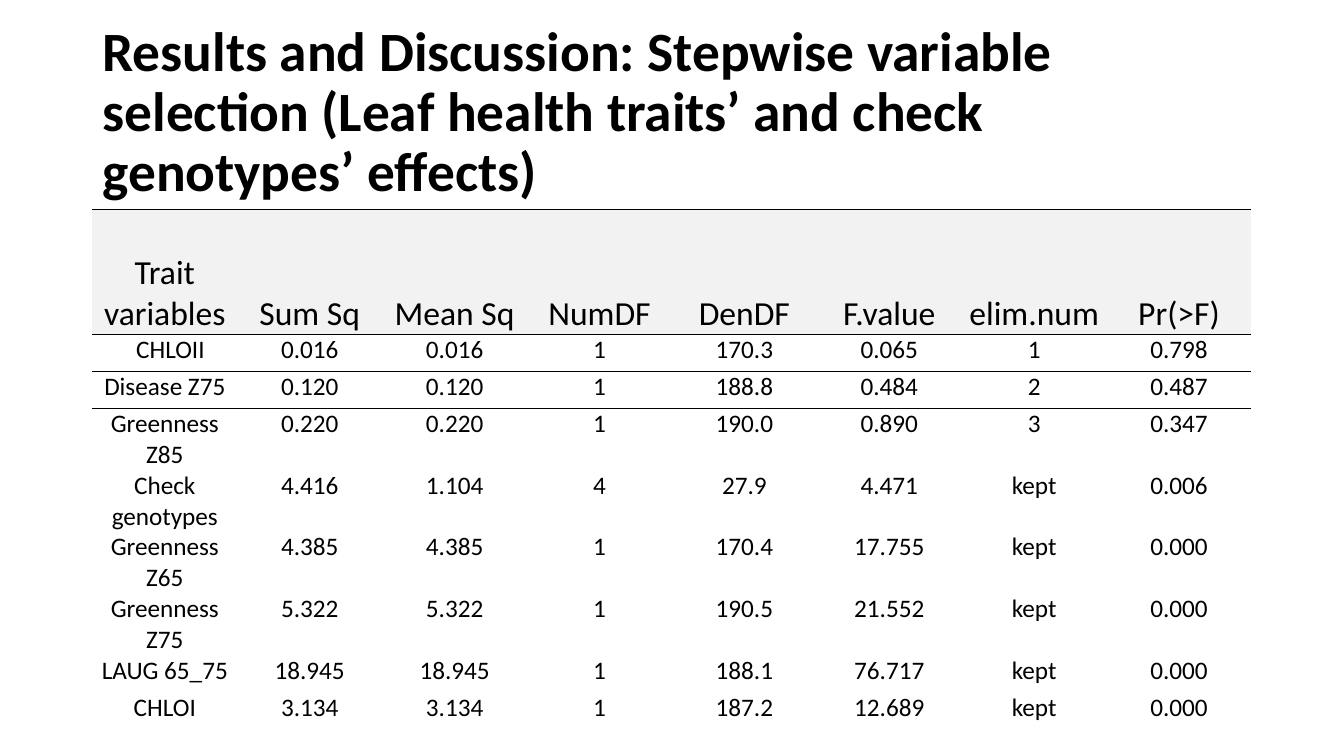
from dataclasses import dataclass

from lxml import etree
from pptx import Presentation
from pptx.dml.color import RGBColor
from pptx.enum import text
from pptx.oxml.ns import qn
from pptx.util import Pt

# Content
TITLE = ("Results and Discussion: Stepwise variable selection "
         "(Leaf health traits’ and check genotypes’ effects)")
HEADERS = ["Trait variables", "Sum Sq", "Mean Sq", "NumDF",
           "DenDF", "F.value", "elim.num", "Pr(>F)"]
TRAITS = [
    ("CHLOII", "0.016", "0.016", "1", "170.3", "0.065", "1", "0.798"),
    ("Disease Z75", "0.120", "0.120", "1", "188.8", "0.484", "2", "0.487"),
    ("Greenness Z85", "0.220", "0.220", "1", "190.0", "0.890", "3", "0.347"),
    ("Check genotypes", "4.416", "1.104", "4", "27.9", "4.471", "kept", "0.006"),
    ("Greenness Z65", "4.385", "4.385", "1", "170.4", "17.755", "kept", "0.000"),
    ("Greenness Z75", "5.322", "5.322", "1", "190.5", "21.552", "kept", "0.000"),
    ("LAUG 65_75", "18.945", "18.945", "1", "188.1", "76.717", "kept", "0.000"),
    ("CHLOI", "3.134", "3.134", "1", "187.2", "12.689", "kept", "0.000"),
]


@dataclass(frozen=True)
class Theme:
    font: str = "Calibri"
    ink: str = "000000"
    header_fill: str = "F2F2F2"
    title_size: float = 39.6
    header_size: float = 24
    body_size: float = 18
    rule: float = 1


THEME = Theme()
PLAIN_TABLE = "{2D5ABB26-0587-4C30-8999-92F81FD0307C}"  # no style, no grid
LEFT, WIDTH = 66, 828
TITLE_TOP, TITLE_HEIGHT = 28.8, 104.4
TABLE_TOP, HEADER_HEIGHT, ROW_HEIGHT = 149.9, 89, 26.6
CELL_INSET, CELL_SPACE, FIRST_TRAIT_INDENT = 5.2, 1.8, 8


def set_font(para, size, bold=False):
    font = para.font
    font.name, font.size, font.bold = THEME.font, Pt(size), bold
    font.color.rgb = RGBColor.from_string(THEME.ink)


def add_rules(cell, sides):
    """Draw cell borders; border elements come before the cell fill."""
    properties = cell._tc.get_or_add_tcPr()
    for position, side in enumerate(sides):
        line = etree.Element(qn(f"a:{side}"), w=str(Pt(THEME.rule)))
        fill = etree.SubElement(line, qn("a:solidFill"))
        etree.SubElement(fill, qn("a:srgbClr"), val=THEME.ink)
        properties.insert(position, line)


def fill_cell(cell, wording, is_header):
    cell.margin_left = cell.margin_right = Pt(CELL_INSET)
    cell.margin_top = cell.margin_bottom = 0
    anchor = text.MSO_ANCHOR
    cell.vertical_anchor = anchor.BOTTOM if is_header else anchor.TOP
    if is_header:
        cell.fill.solid()
        cell.fill.fore_color.rgb = RGBColor.from_string(THEME.header_fill)
    else:
        cell.fill.background()
    cell.text = wording
    para = cell.text_frame.paragraphs[0]
    para.alignment = text.PP_ALIGN.CENTER
    para.space_before = para.space_after = Pt(CELL_SPACE)
    set_font(para, THEME.header_size if is_header else THEME.body_size)


def add_title(page):
    title = page.shapes.title
    title.left, title.top = Pt(LEFT), Pt(TITLE_TOP)
    title.width, title.height = Pt(WIDTH), Pt(TITLE_HEIGHT)
    frame = title.text_frame
    frame.text = TITLE
    frame.word_wrap = True
    frame.auto_size = text.MSO_AUTO_SIZE.NONE
    frame.vertical_anchor = text.MSO_ANCHOR.MIDDLE
    para = frame.paragraphs[0]
    para.alignment = text.PP_ALIGN.LEFT
    para.line_spacing = 0.9
    set_font(para, THEME.title_size, bold=True)


def add_results(page):
    rows = [HEADERS, *TRAITS]
    height = HEADER_HEIGHT + ROW_HEIGHT * len(TRAITS)
    table = page.shapes.add_table(len(rows), len(HEADERS), Pt(LEFT), Pt(TABLE_TOP),
                                  Pt(WIDTH), Pt(height)).table
    table.horz_banding = False
    table._tbl.tblPr.find(qn("a:tableStyleId")).text = PLAIN_TABLE
    for column in table.columns:
        column.width = Pt(WIDTH / len(HEADERS))

    # Rules frame the header and the first trait
    rules = {0: ("lnT", "lnB"), 1: ("lnT", "lnB"), 2: ("lnT",)}
    for r, row in enumerate(rows):
        table.rows[r].height = Pt(ROW_HEIGHT if r else HEADER_HEIGHT)
        for c, wording in enumerate(row):
            fill_cell(table.cell(r, c), wording, is_header=r == 0)
            add_rules(table.cell(r, c), rules.get(r, ()))
    table.cell(1, 0).margin_left = Pt(CELL_INSET + FIRST_TRAIT_INDENT)


def main():
    deck = Presentation()
    deck.slide_width, deck.slide_height = Pt(960), Pt(540)
    page = deck.slides.add_slide(deck.slide_layouts[5])
    add_title(page)
    add_results(page)
    deck.save("out.pptx")


if __name__ == "__main__":
    main()
